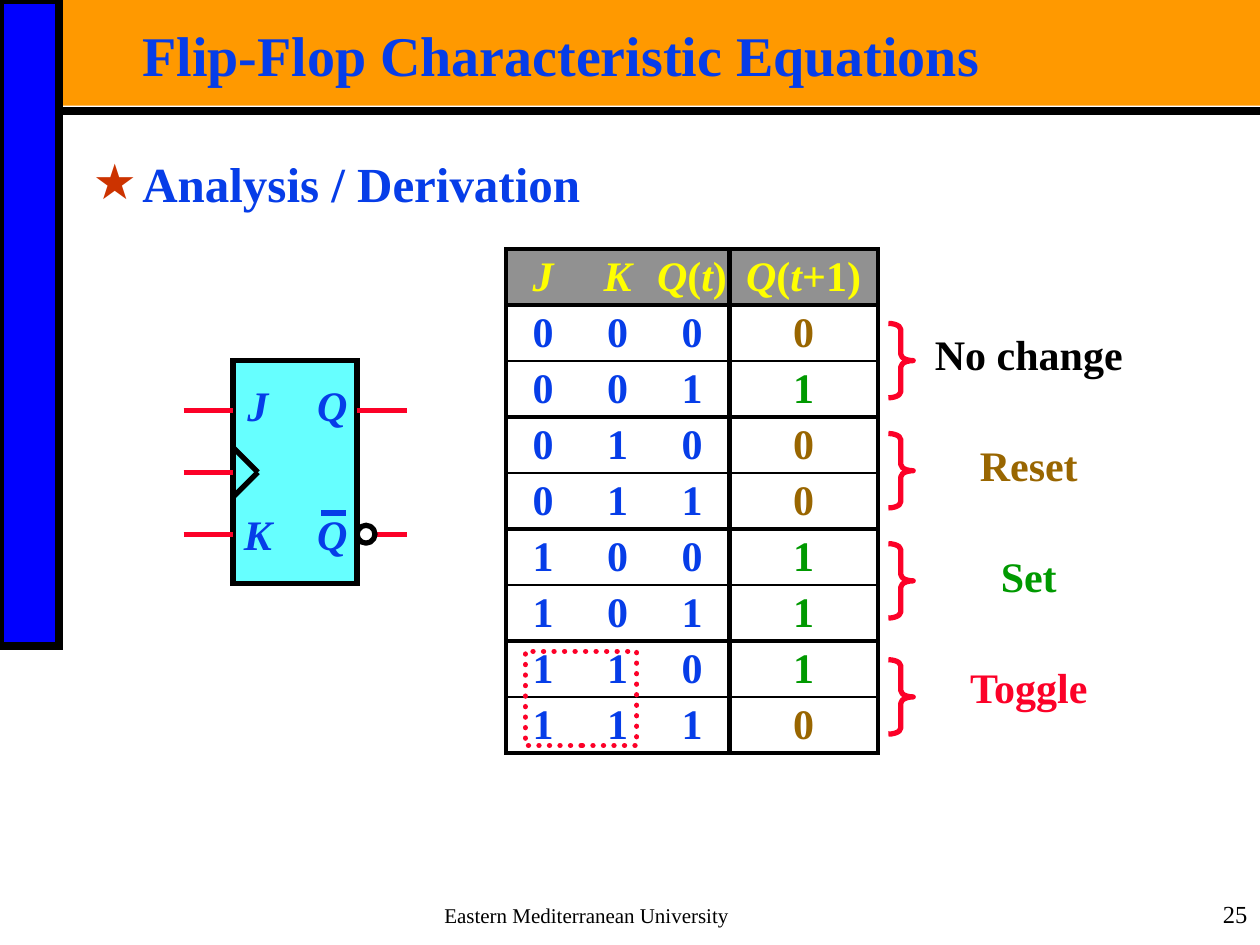
from itertools import groupby

from lxml.etree import SubElement
from pptx import Presentation
from pptx.dml.color import RGBColor
from pptx.enum.dml import MSO_LINE
from pptx.enum.shapes import MSO_CONNECTOR, MSO_SHAPE as Shape
from pptx.enum.text import MSO_ANCHOR as Anchor, MSO_AUTO_SIZE, PP_ALIGN as Align
from pptx.oxml.ns import qn
from pptx.util import Cm, Pt

BLACK = RGBColor(0x00, 0x00, 0x00)
WHITE = RGBColor(0xFF, 0xFF, 0xFF)
ORANGE = RGBColor(0xFF, 0x99, 0x00)
BAR_BLUE = RGBColor(0x00, 0x00, 0xFF)
TEXT_BLUE = RGBColor(0x06, 0x3D, 0xE8)
STAR_RED = RGBColor(0xCC, 0x33, 0x00)
RED = RGBColor(0xFC, 0x01, 0x28)
CYAN = RGBColor(0x66, 0xFF, 0xFF)
GREY = RGBColor(0x91, 0x91, 0x91)
YELLOW = RGBColor(0xFF, 0xFF, 0x00)
BROWN = RGBColor(0x99, 0x66, 0x00)
GREEN = RGBColor(0x00, 0x99, 0x00)
FONT = "Times New Roman"

# Content
TITLE = "Flip-Flop Characteristic Equations"
HEADING = "Analysis / Derivation"
FOOTER = "Eastern Mediterranean University"
PAGE = "25"
TABLE_HEADER = ["J", "K", "Q(t)", "Q(t+1)"]
NEXT_STATES = "01001110"
TABLE_ROWS = [f"{index:03b}" + state for index, state in enumerate(NEXT_STATES)]
STATE_COLORS = {"0": BROWN, "1": GREEN}
ACTIONS = [("No change", BLACK), ("Reset", BROWN), ("Set", GREEN), ("Toggle", RED)]

# Layout in centimetres
COLUMN_WIDTHS = [1.5, 1.5, 1.5, 3]
ROW_HEIGHT = 1.13
ROW_LINES = [2.25, 3, 1, 3, 1, 3, 1, 3, 1, 2.25]
COLUMN_LINES = [2.25, None, None, 3, 2.25]
BRACE_TOPS = [6.52, 8.74, 10.96, 13.3]
BOX_LEFT, BOX_TOP, BOX_WIDTH, BOX_HEIGHT = 4.7, 7.27, 2.5, 4.5
BOX_RIGHT = BOX_LEFT + BOX_WIDTH
UPPER_WIRE, CLOCK_WIRE, LOWER_WIRE = (BOX_TOP + step for step in (1, 2.25, 3.5))

presentation = Presentation()
presentation.slide_width, presentation.slide_height = Cm(25.4), Cm(19.05)
slide = presentation.slides.add_slide(presentation.slide_layouts[1])


def write_text(paragraph, text, size=24, color=TEXT_BLUE, bold=True,
               italic_letters=False, align=Align.CENTER, spacing=None, before=0):
    paragraph.alignment = align
    paragraph.space_before = Pt(before)
    if spacing:
        paragraph.line_spacing = spacing
    runs = groupby(text, str.isalpha) if italic_letters else [(False, text)]
    for italic, characters in runs:
        run = paragraph.add_run()
        run.text = "".join(characters)
        run.font.name, run.font.size = FONT, Pt(size)
        run.font.bold, run.font.italic = bold, italic
        run.font.color.rgb = color


def set_frame(frame, horizontal=0, vertical=0, anchor=Anchor.TOP):
    frame.word_wrap = True
    frame.auto_size = MSO_AUTO_SIZE.NONE
    frame.margin_left = frame.margin_right = Cm(horizontal)
    frame.margin_top = frame.margin_bottom = Cm(vertical)
    frame.vertical_anchor = anchor
    return frame.paragraphs[0]


def add_box(left, top, width, height, **frame_format):
    box = slide.shapes.add_textbox(Cm(left), Cm(top), Cm(width), Cm(height))
    return box.text_frame, set_frame(box.text_frame, **frame_format)


def add_shape(kind, left, top, width, height, fill=None, line=None, weight=3):
    shape = slide.shapes.add_shape(kind, Cm(left), Cm(top), Cm(width), Cm(height))
    shape.shadow.inherit = False
    if fill is None:
        shape.fill.background()
    else:
        shape.fill.solid()
        shape.fill.fore_color.rgb = fill
    if line is None:
        shape.line.fill.background()
    else:
        shape.line.color.rgb = line
        shape.line.width = Pt(weight)
        if kind == Shape.RECTANGLE:
            SubElement(shape.element.spPr.find(qn("a:ln")), qn("a:miter"), lim="800000")
    return shape


def add_line(x1, y1, x2, y2, color=RED, weight=3):
    line = slide.shapes.add_connector(
        MSO_CONNECTOR.STRAIGHT, Cm(x1), Cm(y1), Cm(x2), Cm(y2))
    line.line.color.rgb = color
    line.line.width = Pt(weight)
    SubElement(line.element.spPr, qn("a:effectLst"))


def set_border(cell, side, weight):
    border = SubElement(cell._tc.get_or_add_tcPr(), qn(f"a:ln{side}"))
    if weight is None:
        SubElement(border, qn("a:noFill"))
        return
    border.set("w", str(Pt(weight)))
    fill = SubElement(border, qn("a:solidFill"))
    SubElement(fill, qn("a:srgbClr"), val=str(BLACK))


# Page frame
add_shape(Shape.RECTANGLE, 1.2, 0, 24.2, 2.13, fill=ORANGE)
add_shape(Shape.RECTANGLE, 0, 0, 1.2, 13.03, fill=BAR_BLUE, line=BLACK, weight=4.5)
add_line(1.2, 2.23, 25.4, 2.23, BLACK, 4.5)
for text, left, width, size, align in [(FOOTER, 8.71, 9.2, 12, Align.LEFT),
                                       (PAGE, 22.07, 3.33, 14, Align.RIGHT)]:
    _, paragraph = add_box(left, 18.03, width, 0.81, horizontal=0.25,
                           vertical=0.13, anchor=Anchor.BOTTOM)
    write_text(paragraph, text, size=size, color=BLACK, bold=False, align=align)

# Title and heading, brought in front of the page frame
title, body = slide.placeholders
for placeholder, left, top, width in [(title, 2.69, 0.53, 22), (body, 1.69, 3.03, 23)]:
    slide.shapes.element.append(placeholder.element)
    placeholder.left, placeholder.top = Cm(left), Cm(top)
    placeholder.width, placeholder.height = Cm(width), Cm(1.32)
    set_frame(placeholder.text_frame, 0.18, 0.08, Anchor.MIDDLE)
write_text(title.text_frame.paragraphs[0], TITLE, size=32, align=Align.LEFT, spacing=0.87)
heading = body.text_frame.paragraphs[0]
properties = heading._p.get_or_add_pPr()
properties.set("marL", str(Cm(1)))
properties.set("indent", str(Cm(-1)))
bullet_color = SubElement(properties, qn("a:buClr"))
SubElement(bullet_color, qn("a:srgbClr"), val=str(STAR_RED))
SubElement(properties, qn("a:buChar"), char="★")
write_text(heading, HEADING, size=28, align=Align.LEFT)

# Flip-flop symbol
add_shape(Shape.RECTANGLE, BOX_LEFT, BOX_TOP, BOX_WIDTH, BOX_HEIGHT, CYAN, BLACK)
for direction in (-1, 1):
    add_line(BOX_LEFT, CLOCK_WIRE + direction * 0.5, BOX_LEFT + 0.5, CLOCK_WIRE, BLACK)
for wire in (UPPER_WIRE, CLOCK_WIRE, LOWER_WIRE):
    add_line(BOX_LEFT - 1, wire, BOX_LEFT, wire)
for wire in (UPPER_WIRE, LOWER_WIRE):
    add_line(BOX_RIGHT, wire, BOX_RIGHT + 1, wire)
add_shape(Shape.OVAL, BOX_RIGHT, LOWER_WIRE - 0.18, 0.36, 0.36, WHITE, BLACK)
for letter, left, top in [("J", BOX_LEFT, UPPER_WIRE - 0.5),
                          ("Q", BOX_RIGHT - 1, UPPER_WIRE - 0.5),
                          ("K", BOX_LEFT, LOWER_WIRE - 0.4),
                          ("Q", BOX_RIGHT - 1, LOWER_WIRE - 0.4)]:
    _, paragraph = add_box(left, top, 1, 0.91)
    write_text(paragraph, letter, italic_letters=True, spacing=0.9)
add_line(BOX_RIGHT - 0.72, LOWER_WIRE - 0.43, BOX_RIGHT - 0.22, LOWER_WIRE - 0.43, TEXT_BLUE)

# Truth table
rows = [TABLE_HEADER, *TABLE_ROWS]
table = slide.shapes.add_table(
    len(rows), len(COLUMN_WIDTHS), Cm(10.2), Cm(5.02),
    Cm(sum(COLUMN_WIDTHS)), Cm(ROW_HEIGHT * len(rows))).table
table.first_row = table.horz_banding = False
for column, width in zip(table.columns, COLUMN_WIDTHS):
    column.width = Cm(width)
for r, values in enumerate(rows):
    table.rows[r].height = Cm(ROW_HEIGHT)
    for c, value in enumerate(values):
        cell = table.cell(r, c)
        cell.margin_left = cell.margin_right = cell.margin_top = cell.margin_bottom = 0
        cell.vertical_anchor = Anchor.MIDDLE
        for side, weight in [("L", COLUMN_LINES[c]), ("R", COLUMN_LINES[c + 1]),
                             ("T", ROW_LINES[r]), ("B", ROW_LINES[r + 1])]:
            set_border(cell, side, weight)
        if r == 0:
            cell.fill.solid()
            cell.fill.fore_color.rgb = GREY
            color = YELLOW
        else:
            cell.fill.background()
            color = STATE_COLORS[value] if c == 3 else TEXT_BLUE
        write_text(cell.text_frame.paragraphs[0], value, color=color, italic_letters=True)

# Actions with their braces
frame, paragraph = add_box(18.49, 6.53, 4.5, 7.8)
for index, ((action, color), top) in enumerate(zip(ACTIONS, BRACE_TOPS)):
    if index:
        paragraph = frame.add_paragraph()
    write_text(paragraph, action, color=color, spacing=1.1, before=31.7 if index else 0)
    brace = add_shape(Shape.RIGHT_BRACE, 17.91, top, 0.5, 1.5, line=RED)
    brace.adjustments[0] = 0.25

# Dotted frame around the toggle inputs
toggle_frame = add_shape(Shape.RECTANGLE, 10.59, 13.13, 2.25, 1.9, line=RED)
toggle_frame.line.dash_style = MSO_LINE.ROUND_DOT
toggle_frame.element.spPr.find(qn("a:ln")).set("cap", "rnd")

presentation.save("out.pptx")
